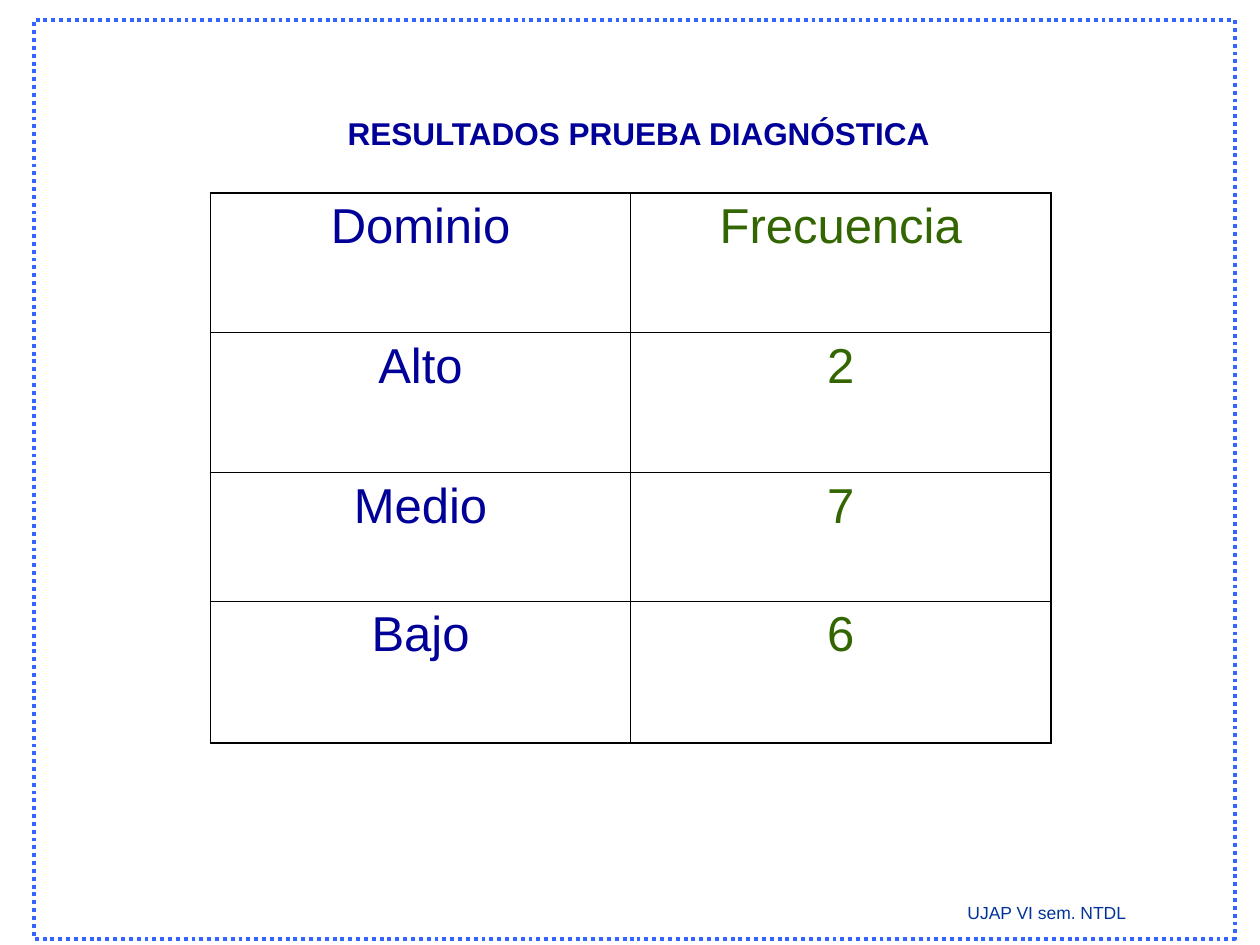
from lxml import etree
from pptx import Presentation
from pptx import util as u
from pptx.dml.color import RGBColor
from pptx.enum import dml, shapes, text
from pptx.oxml.ns import qn

NAVY = "000099"
GREEN = "336600"
RESULTS = [("Dominio", "Frecuencia"), ("Alto", "2"), ("Medio", "7"), ("Bajo", "6")]
ROW_HEIGHTS = [1.11, 1.11, 1.02, 1.13]
THICK, THIN = 1.08, 0.45


def color(value):
    return RGBColor.from_string(value)


def inches(box):
    return [u.Inches(length) for length in box]


def write(paragraph, words, hue, size, bold=False, align=text.PP_ALIGN.CENTER):
    paragraph.alignment = align
    run = paragraph.add_run()
    run.text = words
    style = {"name": "Arial", "size": u.Pt(size), "bold": bold}
    for attribute, value in style.items():
        setattr(run.font, attribute, value)
    run.font.color.rgb = color(hue)


def add_label(slide, box, words, hue, size, **options):
    frame = slide.shapes.add_textbox(*inches(box)).text_frame
    frame.word_wrap = True
    frame.auto_size = text.MSO_AUTO_SIZE.SHAPE_TO_FIT_TEXT
    write(frame.paragraphs[0], words, hue, size, **options)


def add_border(cell, side, width):
    properties = cell._tc.get_or_add_tcPr()
    line = etree.SubElement(properties, qn(f"a:ln{side}"), w=str(u.Pt(width)))
    fill = etree.SubElement(line, qn("a:solidFill"))
    etree.SubElement(fill, qn("a:srgbClr"), val="000000")


def add_results(slide, box):
    rows, columns = len(RESULTS), len(RESULTS[0])
    table = slide.shapes.add_table(rows, columns, *inches(box)).table
    table.first_row = table.horz_banding = False
    for row, height in zip(table.rows, ROW_HEIGHTS):
        row.height = u.Inches(height)
    for r, result in enumerate(RESULTS):
        for c, (words, hue) in enumerate(zip(result, (NAVY, GREEN))):
            cell = table.cell(r, c)
            outer = {"L": c == 0, "R": c == columns - 1,
                     "T": r == 0, "B": r == rows - 1}
            for side, is_outer in outer.items():
                add_border(cell, side, THICK if is_outer else THIN)
            cell.fill.background()
            paragraph = cell.text_frame.paragraphs[0]
            paragraph.space_before = u.Pt(7)
            write(paragraph, words, hue, 28)


def add_frame(slide, box):
    frame = slide.shapes.add_shape(shapes.MSO_SHAPE.RECTANGLE, *inches(box))
    frame.shadow.inherit = False
    frame.fill.background()
    frame.line.color.rgb = color("3366FF")
    frame.line.width = u.Pt(2.25)
    frame.line.dash_style = dml.MSO_LINE.ROUND_DOT


def main():
    deck = Presentation()
    deck.slide_width, deck.slide_height = inches((10, 7.5))
    slide = deck.slides.add_slide(deck.slide_layouts[6])
    add_results(slide, (1.67, 1.53, 6.67, sum(ROW_HEIGHTS)))
    add_label(slide, (1.67, 0.86, 6.8, 0.4), "RESULTADOS PRUEBA DIAGNÓSTICA",
              NAVY, 18, bold=True)
    add_frame(slide, (0.27, 0.16, 9.53, 7.29))
    add_label(slide, (7.58, 7.11, 2.15, 0.27), "UJAP VI sem. NTDL",
              "003399", 10, align=text.PP_ALIGN.LEFT)
    deck.save("out.pptx")


if __name__ == "__main__":
    main()
